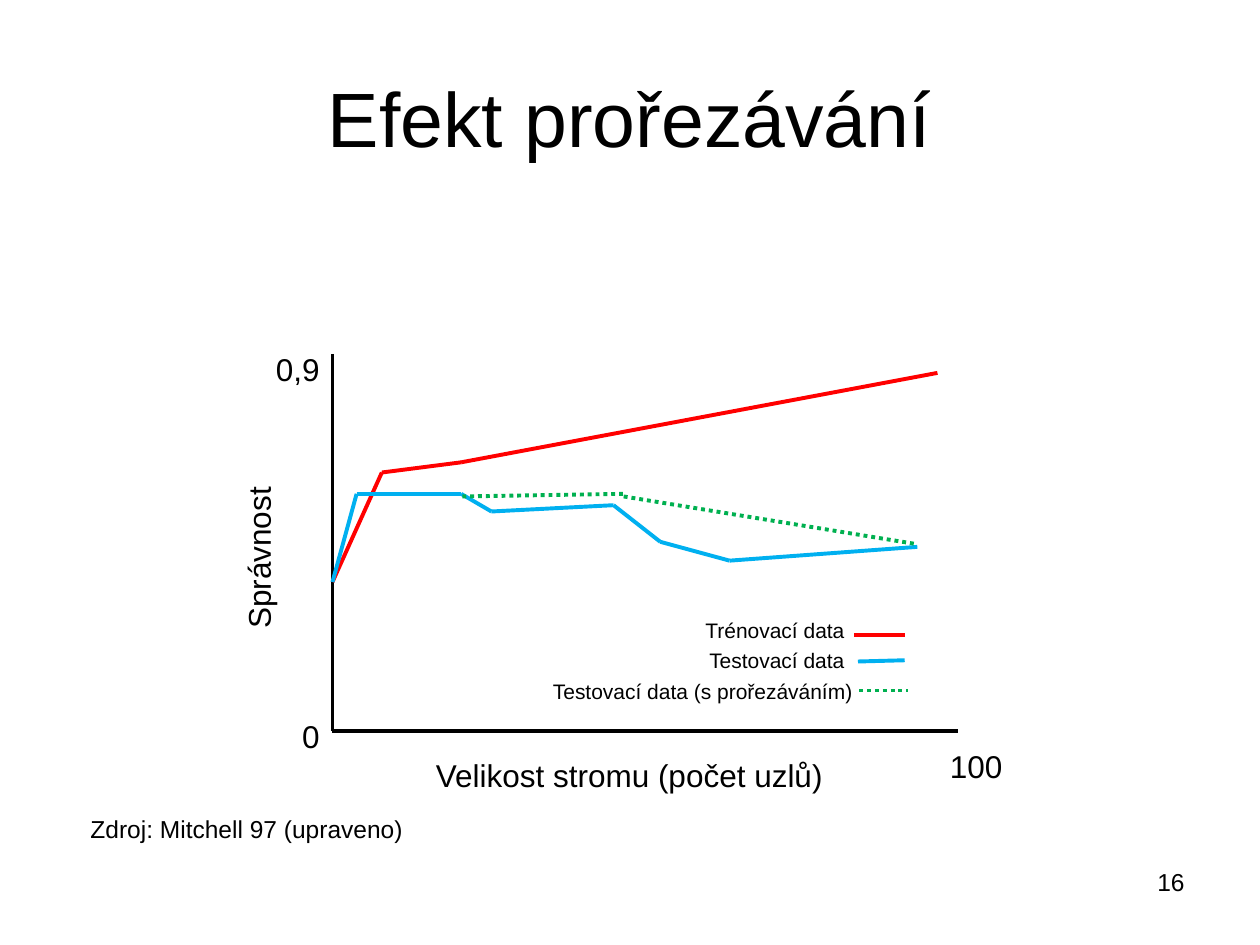
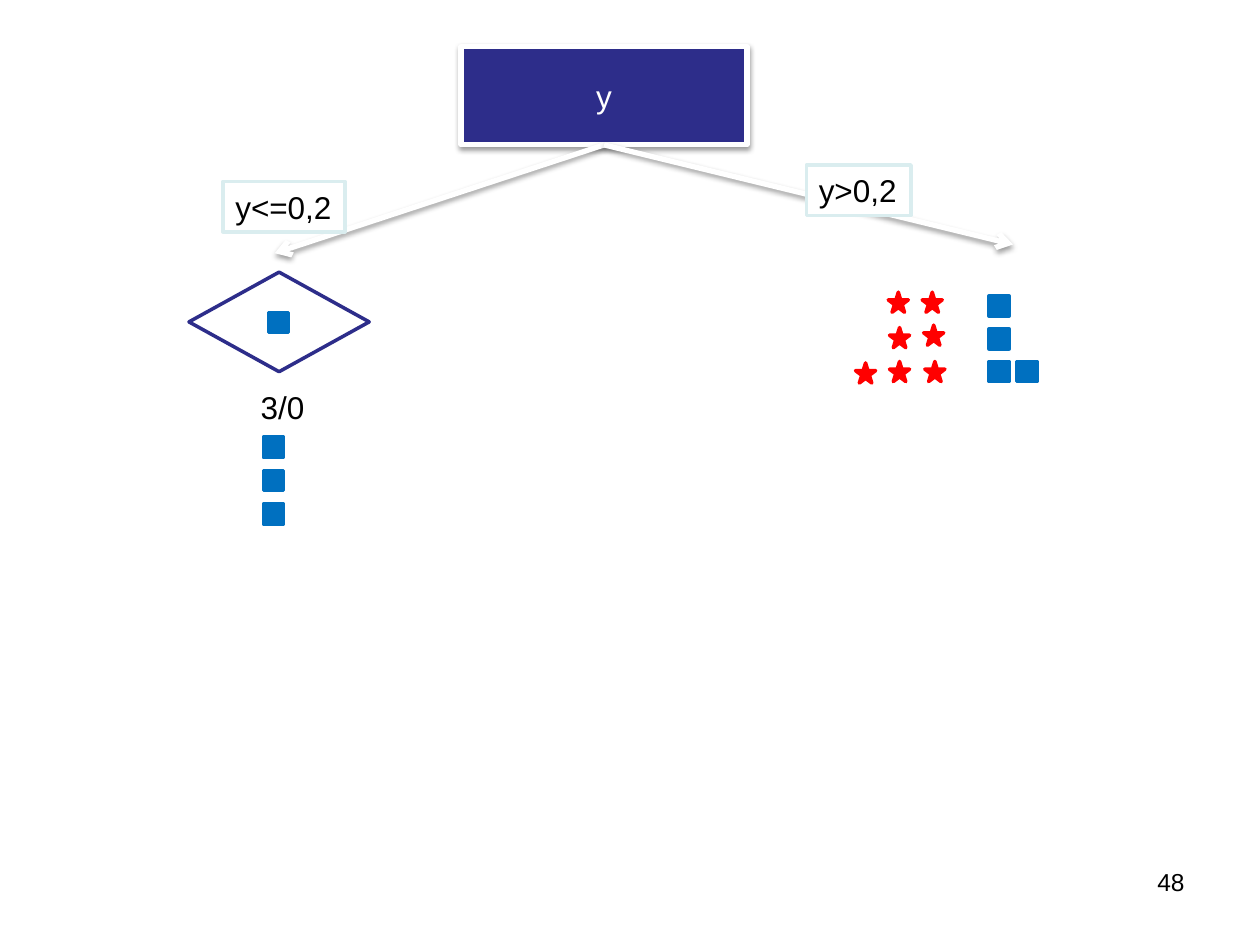
from itertools import pairwise
from typing import NamedTuple

from lxml.etree import SubElement
from pptx import Presentation
from pptx.dml.color import RGBColor
from pptx.enum.dml import MSO_LINE
from pptx.enum.shapes import MSO_CONNECTOR, MSO_SHAPE
from pptx.enum.text import MSO_ANCHOR, PP_ALIGN
from pptx.oxml.ns import qn
from pptx.shapes.autoshape import Shape
from pptx.shapes.connector import Connector
from pptx.slide import Slide
from pptx.util import Pt

BLACK = RGBColor(0, 0, 0)
WHITE = RGBColor(255, 255, 255)
RED = RGBColor(255, 0, 0)
SKY = RGBColor(0, 176, 240)
GREEN = RGBColor(0, 176, 80)
NAVY = RGBColor(45, 45, 138)
BLUE = RGBColor(0, 112, 192)
PALE = RGBColor(218, 237, 239)

LEFT, CENTER, RIGHT = PP_ALIGN.LEFT, PP_ALIGN.CENTER, PP_ALIGN.RIGHT
TOP, MIDDLE = MSO_ANCHOR.TOP, MSO_ANCHOR.MIDDLE
RECT, STAR, DIAMOND = MSO_SHAPE.RECTANGLE, MSO_SHAPE.STAR_5_POINT, MSO_SHAPE.DIAMOND
STRAIGHT = MSO_CONNECTOR.STRAIGHT
DOTS = MSO_LINE.ROUND_DOT

FONT = "Arial"
ICON = 11.5
BOTTOM = 2

Point = tuple[float, float]


class Label(NamedTuple):
    text: str
    left: float
    top: float
    width: float
    height: float = 28.8
    size: float = 18
    align: PP_ALIGN = LEFT
    anchor: MSO_ANCHOR = TOP
    wrap: bool = False
    turn: float = 0


class Curve(NamedTuple):
    color: RGBColor
    points: list[Point]
    dotted: bool = False


CURVES = [
    Curve(BLACK, [(190, 202.3), (190, 417.6), (547.2, 417.6)]),
    Curve(RED, [(190, 332.6), (218.2, 270), (263.5, 264.2), (535.7, 213.1)]),
    Curve(SKY, [(190, 332.6), (203.8, 282.2), (263.5, 282.2), (280.8, 292.3),
                (350.6, 288.7), (377.3, 309.6), (416.9, 320.4), (524.2, 312.5)]),
    Curve(GREEN, [(264.2, 283.7), (356.4, 282.2)], True),
    Curve(GREEN, [(356.4, 283.7), (524.2, 311)], True),
    # legend keys
    Curve(RED, [(488.2, 362.9), (517, 362.9)]),
    Curve(SKY, [(490.3, 378), (517, 377.3)]),
    Curve(GREEN, [(491, 394.6), (519.1, 394.6)], True),
]

NOTES = [
    Label("Zdroj: Mitchell 97 (upraveno)", 44.6, 461.5, 196.6, 24.5, 14, wrap=True),
    Label("Velikost stromu (počet uzlů)", 242, 428.4, 237.6),
    Label("Správnost", 99.4, 303.8, 96.5, turn=270),
    Label("0,9", 150.5, 196.6, 39.6),
    Label("0", 165.6, 406, 24.5),
    Label("100", 535.7, 423.4, 44.6),
    Label("Trénovací data", 396, 349.2, 95, 21.6, 12),
    Label("Testovací data", 398.2, 366.5, 92.9, 21.6, 12),
    Label("Testovací data (s prořezáváním)", 308.9, 384.5, 187.2, 21.6, 12),
]

TESTS = [Label("y<=0,2", 127.4, 103.7, 69.8), Label("y>0,2", 460.8, 94.3, 59.8)]
ENDS = [(157, 144.7), (578.9, 139.7)]

STARS = [(507.6, 167), (527, 167),
         (508.3, 187.2), (527.8, 185.8),
         (488.9, 207.4), (508.3, 206.6), (528.5, 206.6)]
SQUARES = [(565.2, 169.2 + 18.7 * row) for row in range(3)]
SQUARES += [(581, 206.6)]
SQUARES += [(150.5, 249.8 + 19.1 * row) for row in range(3)]
SQUARES += [(153.4, 178.6)]


def write(shape: Shape, label: Label, color: RGBColor = BLACK) -> None:
    frame = shape.text_frame
    frame.text = label.text
    frame.word_wrap = label.wrap
    frame.vertical_anchor = label.anchor
    line = frame.paragraphs[0]
    line.alignment = label.align
    font = line.runs[0].font
    font.name, font.size, font.color.rgb = FONT, Pt(label.size), color


def add_label(slide: Slide, label: Label) -> Shape:
    box = slide.shapes.add_textbox(
        Pt(label.left), Pt(label.top), Pt(label.width), Pt(label.height))
    box.rotation = label.turn
    write(box, label)
    return box


def paint(shape: Shape, fill: RGBColor, edge: RGBColor, width: float = 2) -> None:
    shape.fill.solid()
    shape.fill.fore_color.rgb = fill
    shape.line.color.rgb = edge
    shape.line.width = Pt(width)


def add_form(slide: Slide, kind: MSO_SHAPE, left: float, top: float, width: float,
             height: float, fill: RGBColor, edge: RGBColor, line: float = 2) -> Shape:
    shape = slide.shapes.add_shape(kind, Pt(left), Pt(top), Pt(width), Pt(height))
    shape.shadow.inherit = False
    paint(shape, fill, edge, line)
    return shape


def add_line(slide: Slide, start: Point, end: Point, color: RGBColor,
             width: float = 2.25) -> Connector:
    line = slide.shapes.add_connector(STRAIGHT, *map(Pt, start + end))
    line.line.color.rgb = color
    line.line.width = Pt(width)
    SubElement(line.element.spPr, qn("a:effectLst"))
    return line


def add_shade(shape: Shape | Connector) -> None:
    """Fill the empty effect list with a soft shadow falling straight down."""
    effects = shape.element.spPr.find(qn("a:effectLst"))
    shade = SubElement(effects, qn("a:outerShdw"), blurRad=str(Pt(3.1)),
                       dist=str(Pt(1.6)), dir="5400000", rotWithShape="0")
    color = SubElement(shade, qn("a:srgbClr"), val=str(BLACK))
    SubElement(color, qn("a:alpha"), val="38000")


def add_page(slide: Slide, page: int) -> None:
    add_label(slide, Label(str(page), 516.2, 491.8, 167.8, 37.4, 14, RIGHT, wrap=True))


def draw_graph(slide: Slide) -> None:
    add_label(slide, Label("Efekt prořezávání", 36, 21.6, 648, 90, 44,
                           CENTER, MIDDLE, True))
    for curve in CURVES:
        for start, end in pairwise(curve.points):
            line = add_line(slide, start, end, curve.color)
            if curve.dotted:
                line.line.dash_style = DOTS
    for note in NOTES:
        add_label(slide, note)
    add_page(slide, 16)


def draw_tree(slide: Slide) -> None:
    root = Label("y", 263.5, 26.6, 163.4, 56.2, align=CENTER, anchor=MIDDLE, wrap=True)
    box = add_form(slide, RECT, *root[1:5], NAVY, WHITE, 3)
    write(box, root, WHITE)
    add_shade(box)
    for end in ENDS:
        arrow = add_line(slide, (345.2, 82.8), end, WHITE, 3)
        arrow.begin_connect(box, BOTTOM)
        SubElement(arrow.element.spPr.find(qn("a:ln")), qn("a:tailEnd"), type="arrow")
        add_shade(arrow)
    for test in TESTS:
        paint(add_label(slide, test), WHITE, PALE)
    add_form(slide, DIAMOND, 108, 155.5, 103, 56.9, WHITE, NAVY)
    for kind, color, spots in ((STAR, RED, STARS), (RECT, BLUE, SQUARES)):
        for left, top in spots:
            add_form(slide, kind, left, top, ICON, ICON, color, color)
    add_label(slide, Label("3/0", 141.8, 218.2, 121.7, wrap=True))
    add_page(slide, 48)


def main() -> None:
    deck = Presentation()
    deck.slide_width, deck.slide_height = Pt(720), Pt(540)
    blank = deck.slide_layouts[6]
    for draw in (draw_graph, draw_tree):
        draw(deck.slides.add_slide(blank))
    deck.save("out.pptx")


if __name__ == "__main__":
    main()
